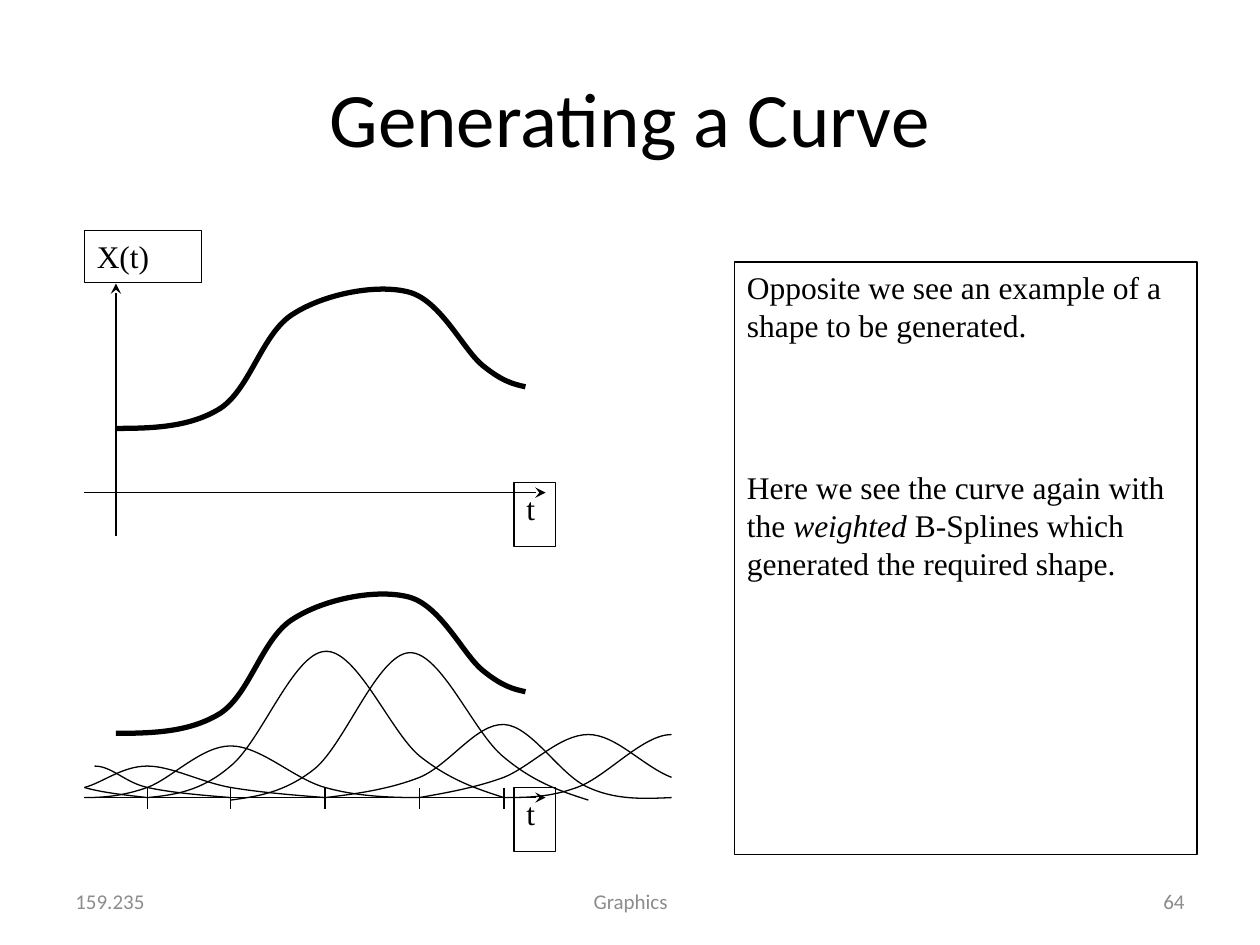
import lxml.etree
import pptx
import pptx.util
import pptx.dml.color
import pptx.enum.shapes
import pptx.enum.text
import pptx.oxml.ns

Inches = pptx.util.Inches
Pt = pptx.util.Pt
qn = pptx.oxml.ns.qn
ALIGN = pptx.enum.text.PP_ALIGN
ANCHOR = pptx.enum.text.MSO_ANCHOR
BLACK = pptx.dml.color.RGBColor(0x00, 0x00, 0x00)
GREY = pptx.dml.color.RGBColor(0x8C, 0x8C, 0x8C)
SANS, SERIF = "Calibri", "Times New Roman"

CURVE = [(.25, 1.57), (.55, 1.57), (.84, 1.56), (1.08, 1.41), (1.32, 1.25), (1.41, .81),
         (1.66, .66), (1.91, .5), (2.33, .42), (2.58, .49), (2.83, .56), (3.01, .95),
         (3.16, 1.07), (3.32, 1.2), (3.41, 1.22), (3.5, 1.24)]
SPLINES = [
    [(.5, 2.08), (.71, 2.06), (.93, 2.03), (1.16, 1.83), (1.4, 1.64), (1.66, .93), (1.91, .92),
     (2.16, .9), (2.43, 1.56), (2.66, 1.75), (2.9, 1.94), (3.11, 2.01), (3.33, 2.08)],
    [(1.16, 2.1), (1.38, 2.07), (1.59, 2.04), (1.83, 1.85), (2.07, 1.65), (2.33, .94), (2.58, .93),
     (2.83, .92), (3.09, 1.57), (3.33, 1.76), (3.57, 1.96), (3.78, 2.03), (4, 2.1)],
    [(1.91, 2.08), (2.17, 2.05), (2.43, 2.01), (2.66, 1.92), (2.9, 1.82), (3.11, 1.49), (3.33, 1.5),
     (3.55, 1.51), (3.77, 1.9), (4, 2), (4.22, 2.1), (4.44, 2.09), (4.66, 2.08)],
    [(2.66, 2.08), (2.41, 2.08), (2.16, 2.07), (1.91, 2), (1.66, 1.93), (1.4, 1.67), (1.16, 1.67),
     (.93, 1.67), (.69, 1.93), (.5, 2), (.3, 2.07), (.15, 2.08), (0, 2.08)],
    [(1.91, 2.08), (1.66, 2.06), (1.4, 2.04), (1.16, 2), (.93, 1.96), (.69, 1.83), (.5, 1.83),
     (.3, 1.83), (.15, 1.96), (0, 2)],
    [(1.16, 2.08), (.92, 2.06), (.68, 2.04), (.5, 2), (.32, 1.96), (.22, 1.83), (.08, 1.83)],
    [(2.66, 2.08), (2.89, 2.04), (3.11, 2), (3.33, 1.92), (3.55, 1.83), (3.77, 1.58), (4, 1.58),
     (4.22, 1.58), (4.43, 1.83), (4.66, 1.92)],
    [(3.33, 2.08), (3.51, 2.08), (3.69, 2.08), (3.91, 2), (4.14, 1.92), (4.43, 1.58), (4.66, 1.58)],
    [(.5, 2.08), (.32, 2.06), (.14, 2.04), (0, 2)],
]
TICKS = [.5, 1.16, 1.91, 2.66, 3.33]


def add_run(para, text, size, font, color, slant=None):
    """Append one styled run to a paragraph."""
    run = para.add_run()
    run.text = text
    run.font.size, run.font.name, run.font.italic = Pt(size), font, slant
    run.font.color.rgb = color


def add_label(slide, box, text, size, color, align):
    """Add one middle-anchored line of sans text."""
    frame = slide.shapes.add_textbox(*map(Inches, box)).text_frame
    frame.word_wrap = True
    frame.vertical_anchor = ANCHOR.MIDDLE
    frame.paragraphs[0].alignment = align
    add_run(frame.paragraphs[0], text, size, SANS, color)


def add_frame(slide, box, paras, gap=0):
    """Add an outlined box whose paragraphs are lists of (text, slant)."""
    rect = slide.shapes.add_shape(pptx.enum.shapes.MSO_SHAPE.RECTANGLE, *map(Inches, box))
    rect.shadow.inherit = False
    rect.fill.background()
    rect.line.color.rgb, rect.line.width = BLACK, Pt(0.75)
    frame = rect.text_frame
    frame.word_wrap = True
    frame.vertical_anchor = ANCHOR.TOP
    for num, runs in enumerate(paras):
        para = frame.add_paragraph() if num else frame.paragraphs[0]
        para.alignment = ALIGN.LEFT
        para.space_before = Pt(gap if num else 0)
        for text, slant in runs:
            add_run(para, text, 18, SERIF, BLACK, slant)


def add_line(slide, start, end, arrow=False):
    """Add a thin line, with a stealth head at its end if asked."""
    line = slide.shapes.add_connector(pptx.enum.shapes.MSO_CONNECTOR.STRAIGHT,
                                      *map(Inches, (*start, *end)))
    line.line.color.rgb, line.line.width = BLACK, Pt(0.75)
    props = line._element.spPr
    if arrow:
        lxml.etree.SubElement(props.find(qn("a:ln")), qn("a:tailEnd"), type="stealth")
    lxml.etree.SubElement(props, qn("a:effectLst"))


def add_curve(slide, left, top, points, width):
    """Add a Bezier outline: a start, then two controls and a knot each."""
    spots = [(Inches(left + x), Inches(top + y)) for x, y in points]
    build = slide.shapes.build_freeform(*spots[0])
    build.add_line_segments(spots[1:], close=False)
    shape = build.convert_to_shape()
    shape.shadow.inherit = False
    shape.fill.background()
    shape.line.color.rgb, shape.line.width = BLACK, Pt(width)
    steps = list(shape._element.iter(qn("a:lnTo")))
    for num in range(0, len(steps), 3):
        bend = lxml.etree.Element(qn("a:cubicBezTo"))
        steps[num].addprevious(bend)
        for step in steps[num:num + 3]:
            bend.append(step[0])
            step.getparent().remove(step)


def add_plot(slide, left, top):
    """Add the time axis, its label and the bold curve."""
    add_line(slide, (left, top + 2.08), (left + 3.66, top + 2.08), True)
    add_curve(slide, left, top, CURVE, 3)
    add_frame(slide, (left + 3.41, top + 2, 0.33, 0.51), [[("t", None)]])


def add_shape_plot(slide, left, top):
    """Add the plot of the wanted shape with its upright axis."""
    add_plot(slide, left, top)
    add_line(slide, (left + 0.25, top + 2.42), (left + 0.25, top + 0.42), True)
    add_frame(slide, (left, top, 0.93, 0.41), [[("X(t)", None)]])


def add_spline_plot(slide, left, top):
    """Add the plot of the curve over its weighted splines."""
    add_plot(slide, left, top)
    for tick in TICKS:
        add_line(slide, (left + tick, top + 2), (left + tick, top + 2.17))
    for spline in SPLINES:
        add_curve(slide, left, top, spline, 0.75)


def add_notes(slide, box):
    """Add the text that explains both plots."""
    add_frame(slide, box, [
        [("Opposite we see an example of a shape to be generated.", None)],
        [("Here we see the curve again with the ", None), ("weighted ", True),
         ("B-Splines which generated the required shape.", False)],
    ], 71)


def add_footer(slide, top):
    """Add the course code, topic and page number."""
    for left, width, text, align in [(0.5, 2.33, "159.235", ALIGN.LEFT),
                                     (3.42, 3.17, "Graphics", ALIGN.CENTER),
                                     (7.17, 2.33, "64", ALIGN.RIGHT)]:
        add_label(slide, (left, top, width, 0.4), text, 12, GREY, align)


def main():
    """Build and save the slide."""
    deck = pptx.Presentation()
    deck.slide_width, deck.slide_height = Inches(10), Inches(7.5)
    slide = deck.slides.add_slide(deck.slide_layouts[6])
    add_label(slide, (0.5, 0.3, 9, 1.25), "Generating a Curve", 44, BLACK, ALIGN.CENTER)
    add_shape_plot(slide, 0.67, 1.83)
    add_spline_plot(slide, 0.67, 4.25)
    add_notes(slide, (5.83, 2.08, 3.67, 4.7))
    add_footer(slide, 6.95)
    deck.save("out.pptx")


if __name__ == "__main__":
    main()
